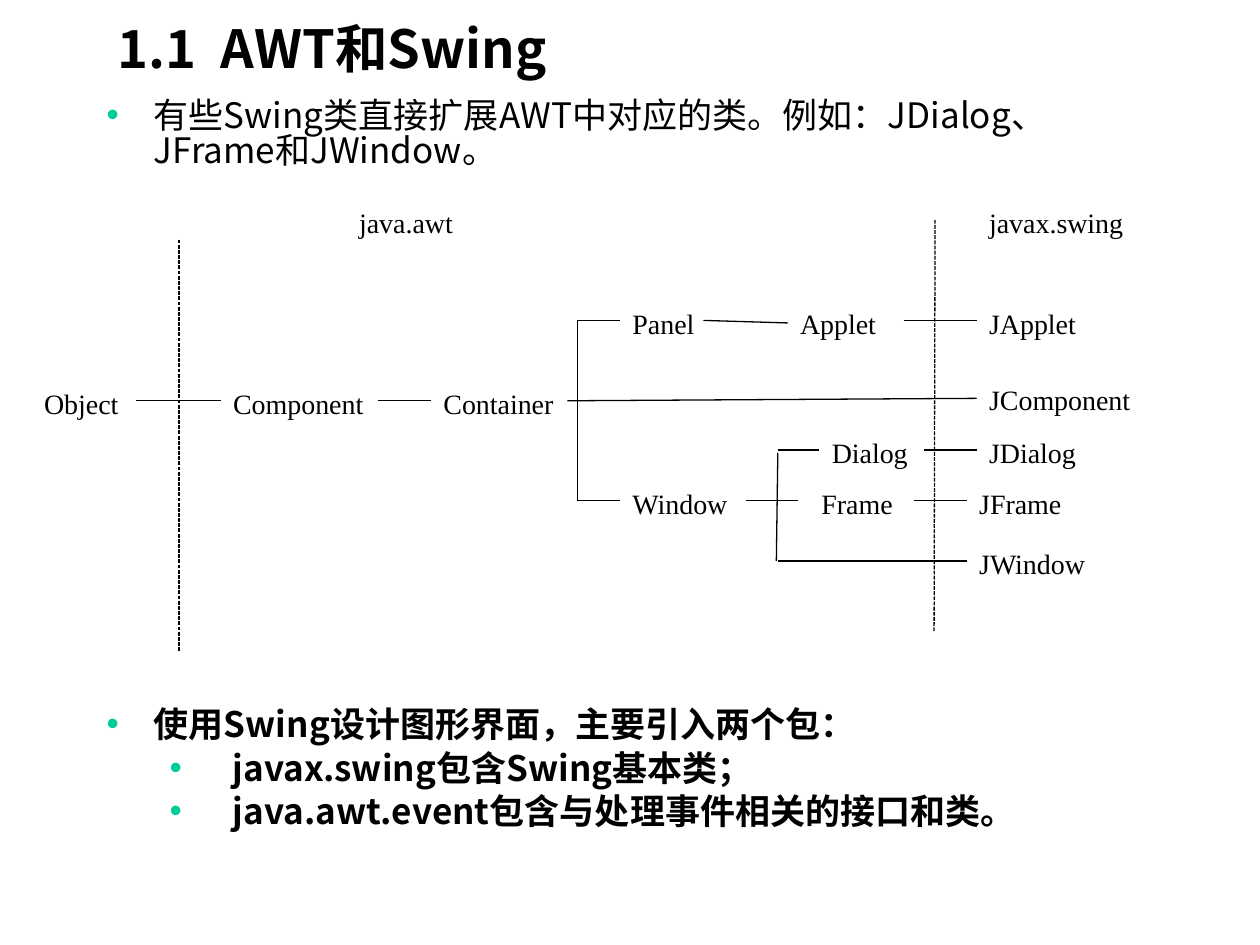
from lxml.etree import SubElement as Sub
from pptx import Presentation
from pptx.dml.color import RGBColor
from pptx.enum.dml import MSO_LINE as Dash
from pptx.enum.shapes import MSO_CONNECTOR as Conn
from pptx.enum.text import MSO_ANCHOR as Anchor, MSO_AUTO_SIZE as Auto, PP_ALIGN as Align
from pptx.oxml.ns import qn
from pptx.util import Cm, Pt

BLACK = RGBColor(0x00, 0x00, 0x00)
GREEN = RGBColor(0x00, 0xCC, 0x99)
SANS = "Noto Sans CJK SC"
SERIF = "Times New Roman"

COLS = {"root": 0, "comp": 3.81, "cont": 8.05, "mid": 11.86, "app": 15.24,
        "frame": 15.67, "dlg": 15.88, "win": 18.85, "swing": 19.05}
ROWS = {"head": 0.41, "panel": 2.44, "jcomp": 3.97, "main": 4.06,
        "dlg": 5.05, "win": 6.07, "last": 7.29}
LABELS = [
    ("javax.swing", "swing", "head", 4.88),
    ("Object", "root", "main", 3.81),
    ("Component", "comp", "main", 5.08),
    ("Container", "cont", "main", 5.08),
    ("Panel", "mid", "panel", 2.97),
    ("Applet", "app", "panel", 3.38),
    ("JApplet", "swing", "panel", 3.38),
    ("JComponent", "swing", "jcomp", 5.51),
    ("Window", "mid", "win", 4.24),
    ("Dialog", "dlg", "dlg", 4.24),
    ("JDialog", "swing", "dlg", 5.51),
    ("Frame", "frame", "win", 4.24),
    ("JFrame", "win", "win", 4.24),
    ("JWindow", "win", "last", 4.24),
]
LINKS = [
    (2.11, "main", "comp"), (6.99, "main", "cont"),
    (11, "panel", "mid"), (11, "win", "mid"),
    (17.58, "panel", "swing"), (14.4, "win", 15.44),
    (15.04, "dlg", "dlg"), (15.04, "last", "win"),
    (17.98, "dlg", "swing"), (17.78, "win", "win"),
]
SLANTS = [
    (11, 2.44, 11, 6.07), (10.8, 4.06, 19.05, 4.01),
    (13.54, 2.44, 15.24, 2.49), (15.04, 5.11, 15.01, 7.29),
]
RULES = [(2.97, 0.81, 2.97, 9.12), (18.21, 0.41, 18.19, 8.71)]


def write(para, text, size=16, face=SERIF, bold=False):
    """Write one formatted run into a paragraph."""
    para.alignment = Align.LEFT
    run = para.add_run()
    run.text = text
    font = run.font
    font.size, font.name, font.bold = Pt(size), face, bold
    font.color.rgb = BLACK
    Sub(run._r.get_or_add_rPr(), qn("a:ea"), typeface=face)


def bullet(para, left, hang):
    """Give a paragraph a hanging green bullet."""
    para.space_before, para.line_spacing = Pt(5), 0.83
    props = para._p.get_or_add_pPr()
    props.set("marL", str(Cm(left)))
    props.set("indent", str(-Cm(hang)))
    Sub(Sub(props, qn("a:buClr")), qn("a:srgbClr"), val=str(GREEN))
    Sub(props, qn("a:buFont"), typeface="Arial")
    Sub(props, qn("a:buChar"), char="•")


def frame(slide, x, y, w, h):
    """Add a wrapping text box and return its frame."""
    text = slide.shapes.add_textbox(Cm(x), Cm(y), Cm(w), Cm(h)).text_frame
    text.word_wrap = True
    return text


def line(slide, x, y, ends, dash=None):
    """Draw a thin black line with ends relative to x and y."""
    a, b, c, d = ends
    link = slide.shapes.add_connector(
        Conn.STRAIGHT, Cm(x + a), Cm(y + b), Cm(x + c), Cm(y + d))
    link.line.color.rgb = BLACK
    link.line.width = Pt(0.75)
    if dash:
        link.line.dash_style = dash
    Sub(link._element.spPr, qn("a:effectLst"))


def head(slide, x, y, w, h):
    """Place and fill the title."""
    title = slide.shapes.title
    title.left, title.top, title.width, title.height = Cm(x), Cm(y), Cm(w), Cm(h)
    title.text_frame.vertical_anchor = Anchor.MIDDLE
    write(title.text_frame.paragraphs[0], "1.1  AWT和Swing", size=30, face=SANS, bold=True)


def points(slide, x, y, w, h, items, bold=False):
    """Place a bulleted list of (level, text) items."""
    text = frame(slide, x, y, w, h)
    for i, (level, item) in enumerate(items):
        para = text.add_paragraph() if i else text.paragraphs[0]
        para.level = level
        bullet(para, *((2.54, 1.27) if level else (0.95, 0.95)))
        write(para, item, size=20, face=SANS, bold=bold)


def label(slide, x, y, w, text):
    """Place a class or package name."""
    box = frame(slide, x, y, w, 0.94)
    box.auto_size = Auto.SHAPE_TO_FIT_TEXT
    write(box.paragraphs[0], text)


def tree(slide, x, y):
    """Draw the class tree with its package borders."""
    for ends in RULES:
        line(slide, x, y, ends, dash=Dash.SQUARE_DOT)
    for start, row, end in LINKS:
        line(slide, x, y, (start, ROWS[row], COLS.get(end, end), ROWS[row]))
    for ends in SLANTS:
        line(slide, x, y, ends)
    label(slide, x + 6.35, y, 3.61, "java.awt")
    for text, col, row, width in LABELS:
        label(slide, x + COLS[col], y + ROWS[row] - 0.41, width, text)


def main():
    """Build and save the slide."""
    deck = Presentation()
    deck.slide_width, deck.slide_height = Cm(25.4), Cm(19.05)
    slide = deck.slides.add_slide(deck.slide_layouts[5])
    head(slide, 2.12, 0, 21.59, 1.9)
    points(slide, 1.9, 1.9, 21.59, 2.12, [
        (0, "有些Swing类直接扩展AWT中对应的类。例如：JDialog、JFrame和JWindow。")])
    tree(slide, 0.64, 4.02)
    points(slide, 1.9, 14.18, 21.59, 2.96, [
        (0, "使用Swing设计图形界面，主要引入两个包："),
        (1, "javax.swing包含Swing基本类；"),
        (1, "java.awt.event包含与处理事件相关的接口和类。")], bold=True)
    deck.save("out.pptx")


if __name__ == "__main__":
    main()
